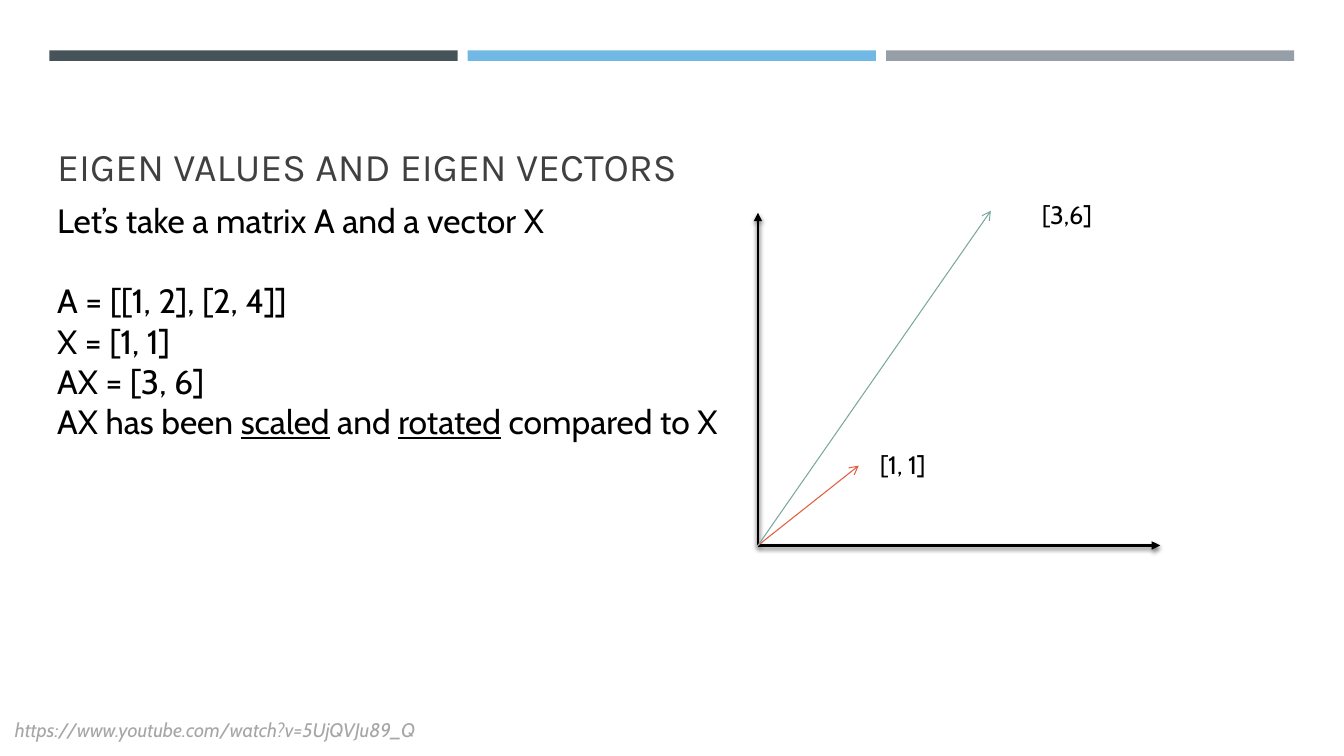
"""Build a slide on eigenvalues: a worked example beside a vector plot."""
from lxml import etree
from pptx import Presentation
from pptx.dml.color import RGBColor
from pptx.enum import shapes, text
from pptx.oxml import ns
from pptx.util import Pt

BLACK = RGBColor(0x00, 0x00, 0x00)
TITLE_GREY = RGBColor(0x40, 0x40, 0x40)
SOURCE_GREY = RGBColor(0xA6, 0xA6, 0xA6)
RED = RGBColor(0xE2, 0x5D, 0x3C)
GREEN = RGBColor(0x7B, 0xA7, 0x9D)
BAR_COLOURS = [
    RGBColor(0x46, 0x53, 0x59),
    RGBColor(0x71, 0xB9, 0xE4),
    RGBColor(0x96, 0x9F, 0xA7),
]

BAR_LEFT, BAR_TOP, BAR_WIDTH, BAR_HEIGHT, BAR_STEP = 35.3, 36, 291.6, 7.5, 298.8
ORIGIN = (541.4, 389.6)

TITLE = [(0, [("EIGEN VALUES AND EIGEN VECTORS", False)])]
EXAMPLE = [
    (0, [("Let’s take a matrix A and a vector X", False)]),
    (28.8, [("A = [[1, 2], [2, 4]]", False)]),
    (0, [("X = [1, 1]", False)]),
    (0, [("AX = [3, 6]", False)]),
    (0, [("AX has been ", False), ("scaled", True), (" and ", False),
         ("rotated", True), (" compared to X", False)]),
]
SOURCE = [(0, [("https://www.youtube.com/watch?v=5UjQVJu89_Q", False)])]

EXAMPLE_FONT = {"name": "Cabin", "size": Pt(24)}
LABEL_FONT = {"name": "Cabin", "size": Pt(18)}
TITLE_FONT = {"name": "Karla", "size": Pt(28)}
SOURCE_FONT = {"name": "Cabin", "size": Pt(14), "italic": True}
LEFT, CENTER = text.PP_ALIGN.LEFT, text.PP_ALIGN.CENTER
TOP, BOTTOM = text.MSO_ANCHOR.TOP, text.MSO_ANCHOR.BOTTOM

TEXTS = [
    ((33.8, 45.4, 868.3, 93.6), TITLE, TITLE_FONT, TITLE_GREY, LEFT, BOTTOM),
    ((33.8, 139, 900, 298), EXAMPLE, EXAMPLE_FONT, BLACK, LEFT, TOP),
    ((717.8, 139, 88.6, 29), [(0, [("[3,6]", False)])], LABEL_FONT, BLACK, CENTER, TOP),
    ((600.5, 317.5, 88.6, 29), [(0, [("[1, 1]", False)])], LABEL_FONT, BLACK, CENTER, TOP),
    ((3.6, 509, 480, 24.5), SOURCE, SOURCE_FONT, SOURCE_GREY, LEFT, TOP),
]
ARROWS = [
    ((541.4, 152), BLACK, 2, "triangle", True),
    ((828.7, 389.6), BLACK, 2, "triangle", True),
    ((613.4, 332.6), RED, 0.75, "arrow", False),
    ((707.8, 150.5), GREEN, 0.75, "arrow", False),
]


def set_all(target, values):
    for name, value in values.items():
        setattr(target, name, value)


def add_bar(slide, index, colour):
    bar = slide.shapes.add_shape(
        shapes.MSO_SHAPE.RECTANGLE, Pt(BAR_LEFT + index * BAR_STEP), Pt(BAR_TOP),
        Pt(BAR_WIDTH), Pt(BAR_HEIGHT))
    bar.shadow.inherit = False
    bar.fill.solid()
    bar.fill.fore_color.rgb = colour
    bar.line.fill.background()


def add_text(slide, box, paragraphs, font, colour, align, anchor):
    frame = slide.shapes.add_textbox(*map(Pt, box)).text_frame
    set_all(frame, {"word_wrap": True, "vertical_anchor": anchor})
    for index, (gap, pieces) in enumerate(paragraphs):
        line = frame.add_paragraph() if index else frame.paragraphs[0]
        line.alignment = align
        if gap:
            line.space_before = Pt(gap)
        for words, underlined in pieces:
            piece = line.add_run()
            piece.text = words
            set_all(piece.font, font)
            piece.font.color.rgb = colour
            if underlined:
                piece.font.underline = True


def add_arrow(slide, tip, colour, width, head, shadowed):
    arrow = slide.shapes.add_connector(
        shapes.MSO_CONNECTOR.STRAIGHT, *map(Pt, ORIGIN + tip))
    arrow.line.color.rgb = colour
    arrow.line.width = Pt(width)
    etree.SubElement(arrow.line._get_or_add_ln(), ns.qn("a:tailEnd"), type=head)
    effects = etree.SubElement(arrow._element.spPr, ns.qn("a:effectLst"))
    if shadowed:
        shadow = etree.SubElement(
            effects, ns.qn("a:outerShdw"), blurRad=str(Pt(3)), dist=str(Pt(2)),
            dir="5400000", rotWithShape="0")
        shade = etree.SubElement(shadow, ns.qn("a:srgbClr"), val=str(BLACK))
        etree.SubElement(shade, ns.qn("a:alpha"), val="55000")


def main():
    deck = Presentation()
    set_all(deck, {"slide_width": Pt(960), "slide_height": Pt(540)})
    slide = deck.slides.add_slide(deck.slide_layouts[6])
    for index, colour in enumerate(BAR_COLOURS):
        add_bar(slide, index, colour)
    for arrow in ARROWS:
        add_arrow(slide, *arrow)
    for entry in TEXTS:
        add_text(slide, *entry)
    deck.save("out.pptx")


if __name__ == "__main__":
    main()
